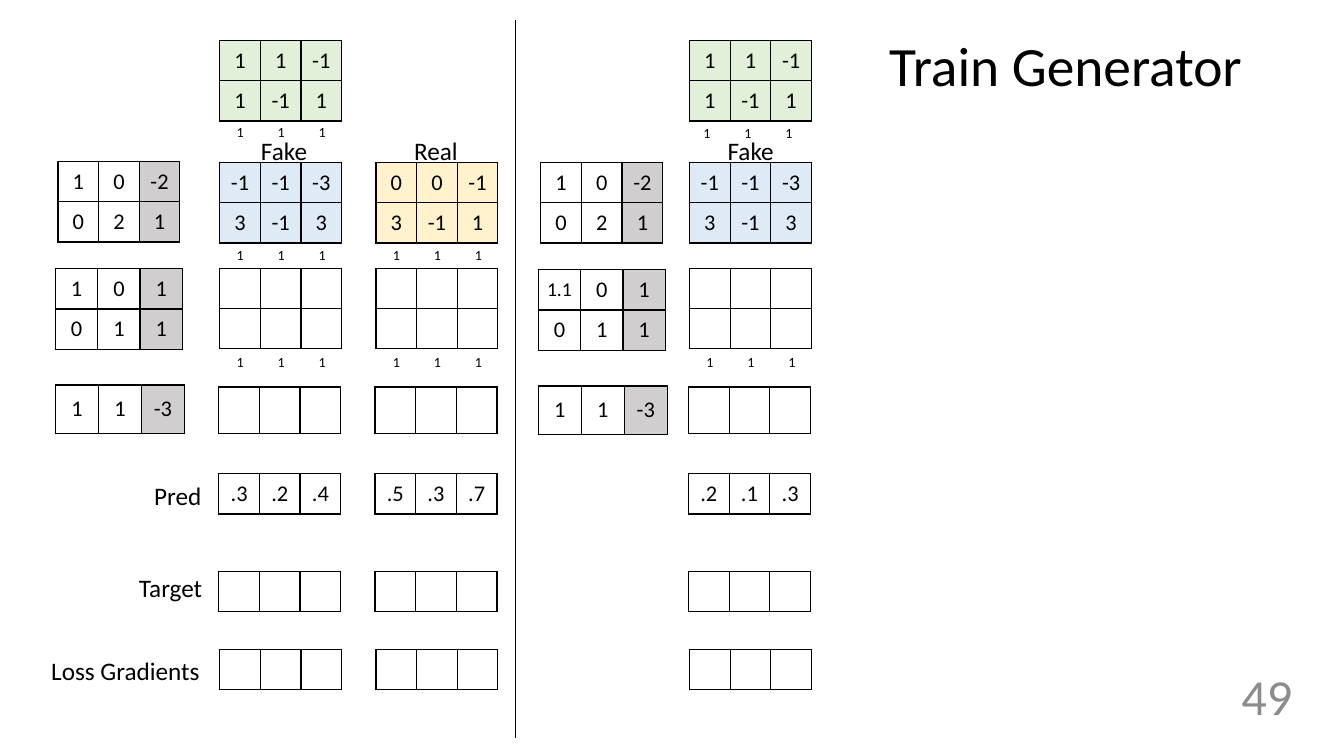
import pptx
import pptx.util
import pptx.dml.color
import pptx.enum.shapes
import pptx.enum.text
import pptx.oxml
import pptx.oxml.ns
import lxml.etree

HUES = {"ink": "000000", "page": "8C8C8C", "noise": "E2F0D9", "fake": "DEEBF7",
        "real": "FFF2CC", "bias": "D0CECE"}
ALIGN = pptx.enum.text.PP_ALIGN
MIDDLE = pptx.enum.text.MSO_ANCHOR.MIDDLE
PLAIN = "{2D5ABB26-0587-4C30-8999-92F81FD0307C}"  # table style without fills or lines


def unit(count):
    """Length of a number of grid steps, ten to the inch."""
    return pptx.util.Inches(count / 10)


def hue(name):
    return pptx.dml.color.RGBColor.from_string(HUES[name])


class Sheet:
    face = "Calibri"

    def __init__(self, deck):
        self.slide = deck.slides.add_slide(deck.slide_layouts[6])
        self.shapes = self.slide.shapes

    def font(self, para, size, name="ink"):
        para.font.name = self.face
        para.font.size = pptx.util.Pt(size)
        para.font.color.rgb = hue(name)

    def text(self, words, x, y, w, h, size=18, name="ink", head=False, space=1.0):
        frame = self.shapes.add_textbox(*map(unit, (x, y, w, h))).text_frame
        frame.word_wrap = head
        para = frame.paragraphs[0]
        para.text = words
        para.line_spacing = space
        if head:
            frame.vertical_anchor = MIDDLE
            para.alignment = ALIGN.RIGHT
        else:
            frame.auto_size = pptx.enum.text.MSO_AUTO_SIZE.SHAPE_TO_FIT_TEXT
        self.font(para, size, name)

    def edge(self, cell):
        props = cell._tc.get_or_add_tcPr()
        for side in "LRTB":
            props.append(pptx.oxml.parse_xml(
                f'<a:ln{side} {pptx.oxml.ns.nsdecls("a")} w="12700"><a:solidFill>'
                f'<a:srgbClr val="{HUES["ink"]}"/></a:solidFill></a:ln{side}>'))

    def grid(self, rows, x, y, w=12.1, h=8, fill=None, last=None, size=16, lines=True):
        """Matrix from rows of words; 'last' colours the final column."""
        wide = len(rows[0])
        table = self.shapes.add_table(len(rows), wide, *map(unit, (x, y, w, h))).table
        table.first_row = table.horz_banding = False
        table._tbl.tblPr.find(pptx.oxml.ns.qn("a:tableStyleId")).text = PLAIN
        for r, row in enumerate(rows):
            for c, word in enumerate(row):
                cell = table.cell(r, c)
                cell.vertical_anchor = MIDDLE
                cell.margin_left = cell.margin_right = unit(0.5)
                cell.margin_top = cell.margin_bottom = unit(0.4)
                if lines:
                    self.edge(cell)
                shade = last if last and c == wide - 1 else fill
                if shade:
                    cell.fill.solid()
                    cell.fill.fore_color.rgb = hue(shade)
                else:
                    cell.fill.background()
                para = cell.text_frame.paragraphs[0]
                para.text = word
                para.alignment = ALIGN.CENTER
                self.font(para, 14 if word == "1.1" else size)

    def ones(self, x, y):
        self.grid([["1"] * 3], x, y, 12.2, 3.2, size=10, lines=False)

    def rule(self, x, top, end):
        line = self.shapes.add_connector(pptx.enum.shapes.MSO_CONNECTOR.STRAIGHT,
                                         *map(unit, (x, top, x, end)))
        line.line.color.rgb = hue("ink")
        line.line.width = pptx.util.Pt(0.5)
        lxml.etree.SubElement(line._element.spPr, pptx.oxml.ns.qn("a:effectLst"))


def main():
    deck = pptx.Presentation()
    deck.slide_width, deck.slide_height = unit(133.33), unit(75)
    sheet = Sheet(deck)

    # Title and page number
    sheet.text("Train Generator", 9.2, 4, 115, 5.5, 39.6, head=True, space=0.9)
    sheet.text("49", 116.7, 64.7, 12.5, 8.6, 36, "page", head=True)

    # Sample columns: left, label, label left, data fill, data, predictions
    fake = [["-1", "-1", "-3"], ["3", "-1", "3"]]
    real = [["0", "0", "-1"], ["3", "-1", "1"]]
    noise = [["1", "1", "-1"], ["1", "-1", "1"]]
    blank = [[""] * 3]
    for x, label, start, fill, data, pred in (
            (21.8, "Fake", 24.9, "fake", fake, [".3", ".2", ".4"]),
            (37.3, "Real", 40.1, "real", real, [".5", ".3", ".7"]),
            (68.4, "Fake", 71.2, "fake", fake, [".2", ".1", ".3"])):
        if label == "Fake":
            sheet.grid(noise, x, 4, fill="noise")
        sheet.text(label, start, 12.9, 6.6, 4)
        sheet.grid(data, x, 16.1, fill=fill)
        sheet.grid(blank * 2, x, 26.6)
        sheet.ones(x, 34.4)
        sheet.grid(blank, x - 0.1, 38.4, h=4.6)
        sheet.grid([pred], x - 0.1, 47, h=4)
        sheet.grid(blank, x - 0.1, 56.7, h=4)
        sheet.grid(blank, x, 64.4, h=4)

    # Bias inputs under the noise and the data
    for x, y in ((21.8, 11.6), (68.1, 11.7), (21.8, 23.8), (37.3, 23.8)):
        sheet.ones(x, y)

    # Weights with a bias column, before and after the update
    first = [["1", "0", "-2"], ["0", "2", "1"]]
    score = [["1", "1", "-3"]]
    for x, y, corner in ((5.5, 16, "1"), (53.4, 16.1, "1.1")):
        sheet.grid(first, x + 0.25, y, last="bias")
        sheet.grid([[corner, "0", "1"], ["0", "1", "1"]], x, y + 10.65, 12.6, last="bias")
        sheet.grid(score, x, y + 22.2, 12.8, 4.8, last="bias")

    # Row labels
    for label, x, y, w in (("Pred", 14.3, 47.2, 6.8), ("Target", 12.8, 56.3, 8.4),
                           ("Loss Gradients", 4.1, 64.5, 16.9)):
        sheet.text(label, x, y, w, 4)

    # Divider
    sheet.rule(51.1, 2, 73.2)
    deck.save("out.pptx")


if __name__ == "__main__":
    main()
